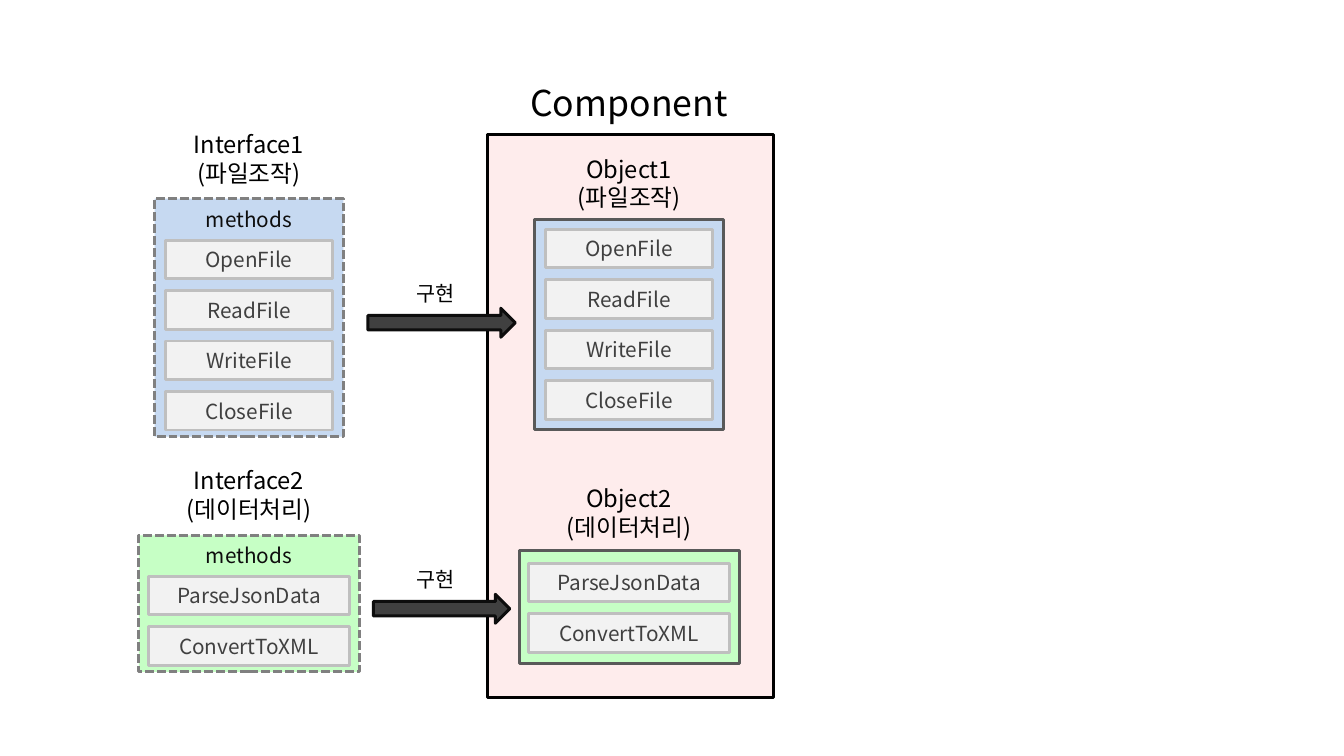
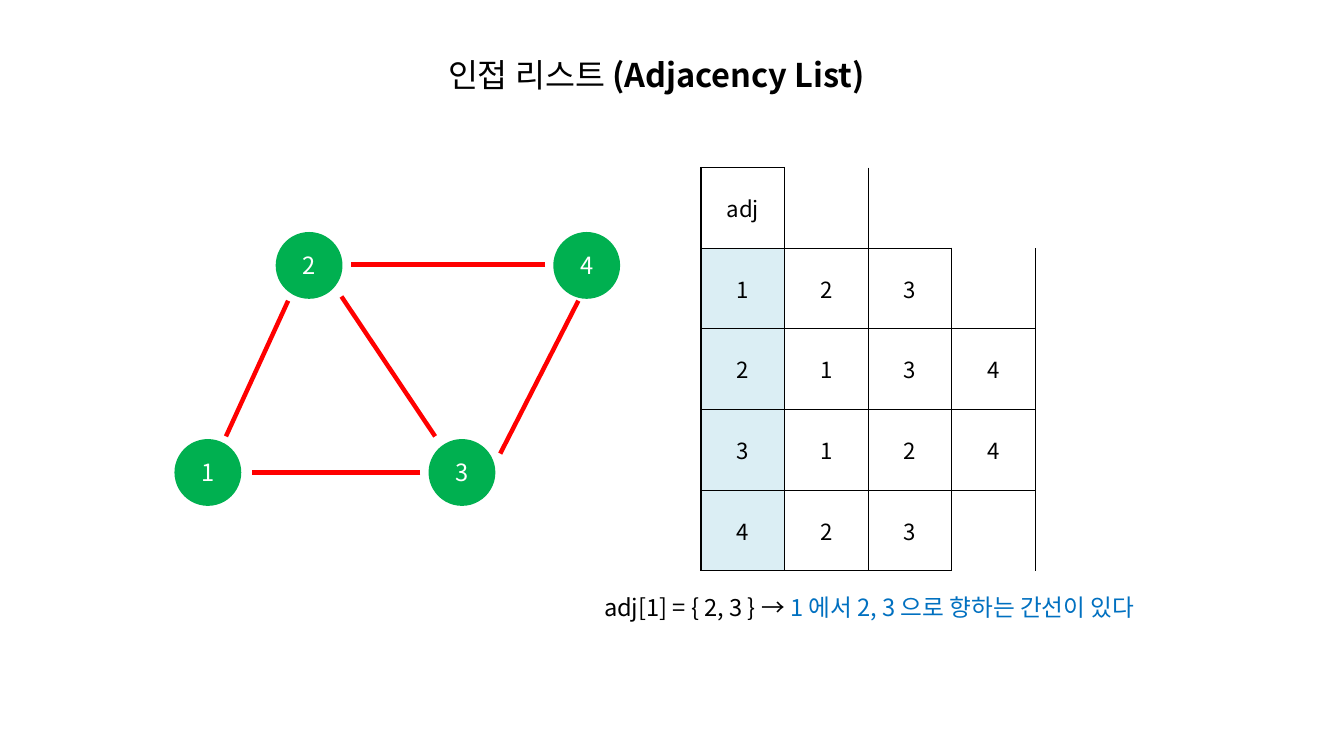
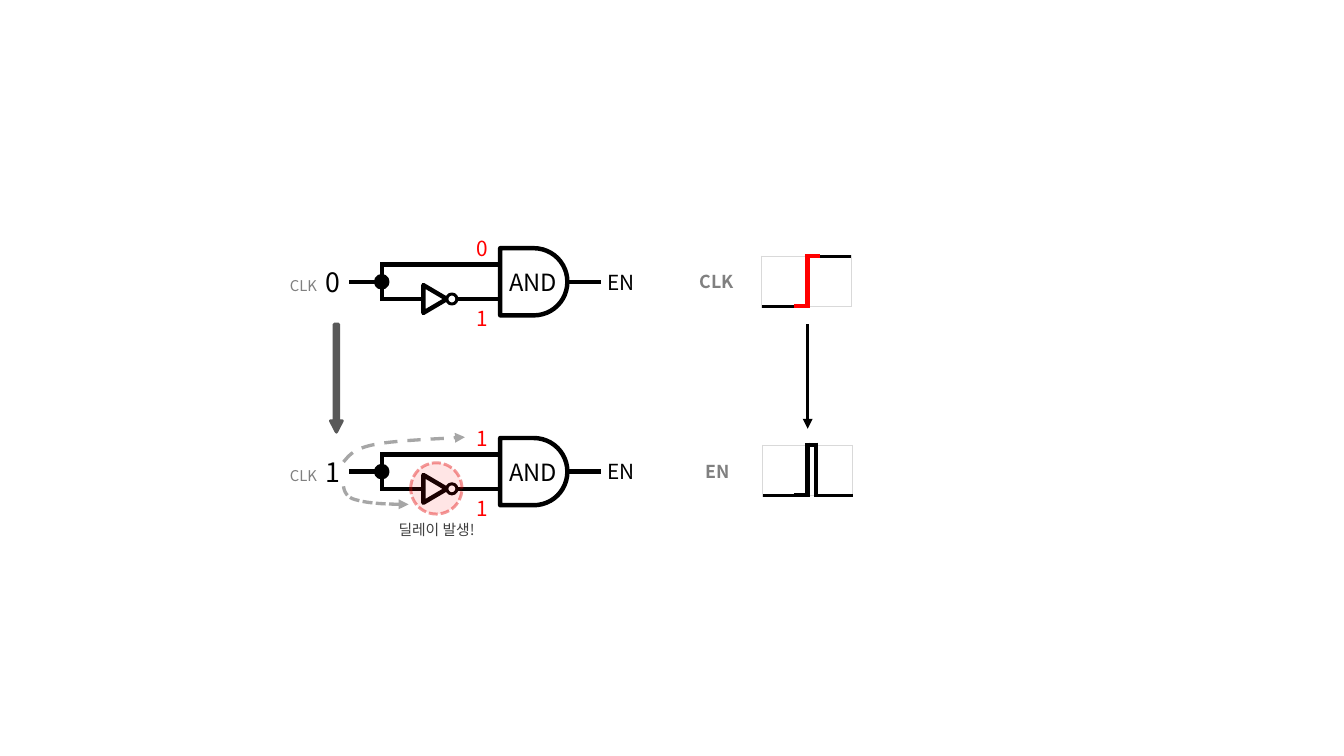
from dataclasses import dataclass
from typing import Any, NamedTuple

from lxml.etree import SubElement
from pptx import Presentation
from pptx.dml.color import RGBColor
from pptx.enum.dml import MSO_LINE
from pptx.enum.shapes import MSO_CONNECTOR, MSO_SHAPE as Preset
from pptx.enum.text import MSO_ANCHOR as Anchor, MSO_AUTO_SIZE, PP_ALIGN
from pptx.oxml.ns import qn
from pptx.util import Cm, Pt

FONT = "Noto Sans CJK KR"
BLACK = RGBColor(0x00, 0x00, 0x00)
INK = RGBColor(0x0D, 0x0D, 0x0D)
CHARCOAL = RGBColor(0x40, 0x40, 0x40)
SLATE = RGBColor(0x59, 0x59, 0x59)
GRAY = RGBColor(0x80, 0x80, 0x80)
ASH = RGBColor(0xA6, 0xA6, 0xA6)
SILVER = RGBColor(0xBF, 0xBF, 0xBF)
MIST = RGBColor(0xD9, 0xD9, 0xD9)
PAPER = RGBColor(0xF2, 0xF2, 0xF2)
WHITE = RGBColor(0xFF, 0xFF, 0xFF)
PINK = RGBColor(0xFE, 0xEC, 0xEC)
MINT = RGBColor(0xC6, 0xFF, 0xC5)
SKY = RGBColor(0xC6, 0xD9, 0xF1)
ICE = RGBColor(0xDB, 0xEE, 0xF4)
GREEN = RGBColor(0x00, 0xB0, 0x50)
BLUE = RGBColor(0x00, 0x70, 0xC0)
RED = RGBColor(0xFF, 0x00, 0x00)
CRIMSON = RGBColor(0xE2, 0x00, 0x00)

FRAME = {"margin_left": 0, "margin_right": 0, "word_wrap": True}
CELL = {"margin_left": Cm(0.2), "margin_right": Cm(0.2), "margin_top": Cm(0.1),
        "margin_bottom": Cm(0.1), "vertical_anchor": Anchor.MIDDLE}
NO_GRID = "{2D5ABB26-0587-4C30-8999-92F81FD0307C}"


class Box(NamedTuple):
    x: float
    y: float
    w: float
    h: float


class Run(NamedTuple):
    text: str
    color: RGBColor = BLACK
    bold: bool = False


class Edge(NamedTuple):
    color: RGBColor
    width: float


class Wire(NamedTuple):
    x1: float
    y1: float
    x2: float
    y2: float


@dataclass
class Panel:
    cx: float
    title: str
    title_y: float
    box: Box
    fill: RGBColor
    method_y: float
    method_w: float
    methods: tuple[str, ...]
    abstract: bool


def apply(obj: Any, values: dict[str, Any]) -> None:
    for name, value in values.items():
        setattr(obj, name, value)


def centered(cx: float, y: float, w: float, h: float) -> Box:
    return Box(cx - w / 2, y, w, h)


def write(tf: Any, size: float, *lines: list[Run]) -> None:
    for i, line in enumerate(lines):
        p = tf.add_paragraph() if i else tf.paragraphs[0]
        p.alignment = PP_ALIGN.CENTER
        for item in line:
            r = p.add_run()
            r.text = item.text
            r.font.color.rgb = item.color
            apply(r.font, {"name": FONT, "size": Pt(size), "bold": item.bold})
            SubElement(r.font._element, qn("a:ea"), typeface=FONT)


def text(s: Any, box: Box, size: float, *lines: list[Run], anchor: Any = Anchor.TOP) -> None:
    tf = s.shapes.add_textbox(*map(Cm, box)).text_frame
    apply(tf, {**FRAME, "vertical_anchor": anchor, "auto_size": MSO_AUTO_SIZE.SHAPE_TO_FIT_TEXT})
    write(tf, size, *lines)


def style(sp: Any, fill: RGBColor | None, line: RGBColor, width: float, dash: Any = None) -> None:
    sp.shadow.inherit = False
    if fill is None:
        sp.fill.background()
    else:
        sp.fill.solid()
        sp.fill.fore_color.rgb = fill
    sp.line.color.rgb = line
    apply(sp.line, {"width": Pt(width), "dash_style": dash})


def shape(s: Any, preset: Any, box: Box, fill: RGBColor | None, line: RGBColor,
          width: float = 2, dash: Any = None) -> Any:
    sp = s.shapes.add_shape(preset, *map(Cm, box))
    style(sp, fill, line, width, dash)
    return sp


def label(sp: Any, size: float, run: Run) -> None:
    apply(sp.text_frame, {**FRAME, "vertical_anchor": Anchor.MIDDLE})
    write(sp.text_frame, size, [run])


def add_arrowhead(sp: Any) -> None:
    SubElement(sp.line._get_or_add_ln(), qn("a:tailEnd"), type="triangle")


def connect(s: Any, wire: Wire, color: RGBColor = BLACK, width: float = 3) -> Any:
    sp = s.shapes.add_connector(MSO_CONNECTOR.STRAIGHT, *map(Cm, wire))
    sp.line.color.rgb = color
    sp.line.width = Pt(width)
    SubElement(sp._element.spPr, qn("a:effectLst"))
    return sp


def add_grid(s: Any, x: float, y: float, widths: list[float], heights: list[float]) -> Any:
    frame = s.shapes.add_table(len(heights), len(widths), Cm(x), Cm(y),
                               Cm(sum(widths)), Cm(sum(heights)))
    table = frame.table
    apply(table, {"first_row": False, "horz_banding": False})
    next(frame._element.iter(qn("a:tableStyleId"))).text = NO_GRID
    for column, w in zip(table.columns, widths):
        column.width = Cm(w)
    for row, h in zip(table.rows, heights):
        row.height = Cm(h)
    return table


def set_cell(cell: Any, edges: dict[str, Edge], fill: RGBColor | None = None) -> None:
    apply(cell, CELL)
    tc_pr = cell._tc.get_or_add_tcPr()
    for side in "LRTB":
        if side in edges:
            edge = edges[side]
            ln = SubElement(tc_pr, qn(f"a:ln{side}"), w=str(Pt(edge.width)))
            SubElement(SubElement(ln, qn("a:solidFill")), qn("a:srgbClr"), val=str(edge.color))
    if fill is None:
        cell.fill.background()
    else:
        cell.fill.solid()
        cell.fill.fore_color.rgb = fill


def draw_panel(s: Any, panel: Panel) -> None:
    box = panel.box
    line, dash = (GRAY, MSO_LINE.SQUARE_DOT) if panel.abstract else (SLATE, None)
    shape(s, Preset.RECTANGLE, box, panel.fill, line, dash=dash)
    text(s, centered(panel.cx, panel.title_y, 4.55, 1.63), 16,
         *([Run(part)] for part in panel.title.split("\n")))
    if panel.abstract:
        text(s, centered(panel.cx, box.y + 0.06, 3.12, 0.86), 14, [Run("methods", INK)])
    for i, method in enumerate(panel.methods):
        sp = shape(s, Preset.RECTANGLE,
                   centered(panel.cx, panel.method_y + 1.2 * i, panel.method_w, 0.92),
                   PAPER, SILVER)
        label(sp, 14, Run(method, CHARCOAL))


def component_slide(s: Any) -> None:
    file_methods = ("OpenFile", "ReadFile", "WriteFile", "CloseFile")
    data_methods = ("ParseJsonData", "ConvertToXML")
    left, right = 5.93, 14.98
    shape(s, Preset.RECTANGLE, Box(11.61, 3.2, 6.8, 13.42), PINK, BLACK)
    text(s, Box(11.94, 1.8, 6.07, 1.27), 24, [Run("Component")])
    for panel in (
        Panel(left, "Interface1\n(파일조작)", 2.97, centered(left, 4.73, 4.49, 5.67),
              SKY, 5.72, 3.96, file_methods, True),
        Panel(left, "Interface2\n(데이터처리)", 10.97, centered(left, 12.75, 5.24, 3.25),
              MINT, 13.72, 4.8, data_methods, True),
        Panel(right, "Object1\n(파일조작)", 3.56, centered(right, 5.23, 4.49, 5),
              SKY, 5.46, 3.96, file_methods, False),
        Panel(right, "Object2\n(데이터처리)", 11.4, centered(right, 13.11, 5.24, 2.69),
              MINT, 13.41, 4.8, data_methods, False),
    ):
        draw_panel(s, panel)
    for arrow in (Box(8.76, 7.34, 3.51, 0.69), Box(8.89, 14.15, 3.25, 0.69)):
        shape(s, Preset.RIGHT_ARROW, arrow, CHARCOAL, INK)
        text(s, centered(10.37, arrow.y - 0.79, 1.45, 0.86), 14, [Run("구현")])


def adjacency_slide(s: Any) -> None:
    text(s, Box(9.32, 1.19, 12.62, 1.19), 22,
         [Run("인접 리스트 "), Run("(Adjacency List)", bold=True)])
    nodes = {"2": (6.6, 5.56), "1": (4.19, 10.49), "3": (10.24, 10.49), "4": (13.21, 5.56)}
    for name, (x, y) in nodes.items():
        sp = shape(s, Preset.OVAL, Box(x, y, 1.52, 1.52), GREEN, GREEN)
        label(sp, 16, Run(name, WHITE))
    for wire in (Wire(6.86, 7.16, 5.38, 10.39), Wire(12.98, 6.3, 8.36, 6.3),
                 Wire(10.01, 11.25, 5.99, 11.25), Wire(13.77, 7.16, 11.91, 10.8),
                 Wire(8.13, 7.06, 10.36, 10.39)):
        connect(s, wire, RED)

    rows = [["adj"], ["1", "2", "3"], ["2", "1", "3", "4"], ["3", "1", "2", "4"],
            ["4", "2", "3"]]
    steps = {"L": (0, -1), "R": (0, 1), "T": (-1, 0), "B": (1, 0)}
    used = {(i, j) for i, row in enumerate(rows) for j in range(len(row))}
    table = add_grid(s, 16.69, 3.99, [1.99] * 5, [1.92] * 5)
    for i, row in enumerate(rows):
        for j in range(5):
            edges = {side: Edge(BLACK, 1) for side, (di, dj) in steps.items()
                     if used & {(i, j), (i + di, j + dj)}}
            set_cell(table.cell(i, j), edges, ICE if i and not j else None)
            if j < len(row):
                write(table.cell(i, j).text_frame, 15, [Run(row[j])])
    text(s, Box(13.06, 14, 15.27, 0.94), 16,
         [Run("adj[1] = { 2, 3 } → "), Run("1 에서 2, 3 으로 향하는 간선이 있다", BLUE)])


def draw_circuit(s: Any, y: float, clock: str, upper: str, lower: str) -> None:
    shape(s, Preset.FLOWCHART_DELAY, Box(11.91, y - 0.8, 1.6, 1.6), None, BLACK, 3)
    sp = shape(s, Preset.FLOWCHART_EXTRACT, Box(10.03, y + 0.13, 0.66, 0.56), WHITE, BLACK, 3)
    sp.rotation = 90
    shape(s, Preset.OVAL, Box(10.64, y + 0.29, 0.24, 0.24), WHITE, BLACK)
    for x1, dy1, x2, dy2 in ((13.51, 0, 14.3, 0), (9.09, -0.41, 11.91, -0.41),
                             (10.9, 0.41, 11.91, 0.41), (9.09, 0.41, 10.08, 0.41),
                             (9.09, 0.46, 9.09, -0.46), (8.31, 0, 9.09, 0)):
        connect(s, Wire(x1, y + dy1, x2, y + dy2))
    shape(s, Preset.OVAL, Box(8.94, y - 0.15, 0.3, 0.3), BLACK, BLACK)
    text(s, Box(11.61, y - 0.46, 2.16, 0.94), 16, [Run("AND")])
    for box, size, run in (
        (Box(11.05, y - 1.22, 0.89, 0.86), 14, Run(upper, RED)),
        (Box(11.05, y + 0.44, 0.89, 0.86), 14, Run(lower, RED)),
        (Box(7.49, y - 0.51, 0.89, 1.02), 18, Run(clock)),
        (Box(6.63, y - 0.26, 1.19, 0.69), 10, Run("CLK", GRAY)),
        (Box(14.2, y - 0.43, 1.19, 0.86), 14, Run("EN")),
    ):
        text(s, box, size, [run], anchor=Anchor.MIDDLE)


def draw_curve(s: Any, points: list[tuple[float, float]], dash: Any) -> None:
    steps = 12
    track = []
    for k in range(0, len(points) - 1, 3):
        a, b, c, d = points[k:k + 4]
        for n in range(1, steps + 1):
            t = n / steps
            u = 1 - t
            track.append(tuple(
                Cm(u**3 * a[i] + 3 * u * u * t * b[i] + 3 * u * t * t * c[i] + t**3 * d[i])
                for i in range(2)))
    builder = s.shapes.build_freeform(*map(Cm, points[0]))
    builder.add_line_segments(track, close=False)
    sp = builder.convert_to_shape()
    style(sp, None, ASH, 2.25, dash)
    add_arrowhead(sp)


def draw_signal(s: Any, x: float, y: float, name: str, high: bool) -> None:
    thin, thick = Edge(MIST, 1), Edge(BLACK, 2.25)
    table = add_grid(s, x, y, [2.13, 1.07, 1.07], [1.19])
    edges = ({"R": thin},
             {"L": thin, "T": thin, "R": thick, "B": thick},
             {"L": thick, "T": thick if high else thin, "R": thin, "B": thin})
    for j, sides in enumerate(edges):
        set_cell(table.cell(0, j), sides)
    write(table.cell(0, 0).text_frame, 12, [Run(name, GRAY, True)])


def pulse_slide(s: Any) -> None:
    draw_circuit(s, 6.71, "0", "0", "1")
    draw_circuit(s, 11.23, "1", "1", "1")
    sp = shape(s, Preset.OVAL, Box(9.78, 11.02, 1.22, 1.22), RED, CRIMSON,
               dash=MSO_LINE.SQUARE_DOT)
    for color, alpha in zip(list(sp._element.spPr.iter(qn("a:srgbClr"))), (10, 40)):
        SubElement(color, qn("a:alpha"), val=str(alpha * 1000))
    text(s, Box(9.19, 12.27, 2.41, 0.69), 10, [Run("딜레이 발생!", CHARCOAL)])
    draw_curve(s, [(8.18, 11), (8.31, 10.85), (8.41, 10.69), (8.89, 10.59),
                   (9.37, 10.49), (10.24, 10.46), (11.07, 10.41)], MSO_LINE.DASH)
    draw_curve(s, [(8.18, 11.58), (8.2, 11.71), (8.26, 11.86), (8.51, 11.91),
                   (8.79, 11.99), (9.25, 12.01), (9.73, 12.01)], MSO_LINE.SQUARE_DOT)
    sp = shape(s, Preset.DOWN_ARROW, Box(7.87, 7.72, 0.28, 2.57), SLATE, SLATE)
    sp.adjustments[0], sp.adjustments[1] = 0.365, 0.962

    draw_signal(s, 16.03, 10.61, "EN", False)
    for wire in (Wire(18.9, 11.79, 19.2, 11.79), Wire(19.2, 10.59, 19.46, 10.59),
                 Wire(19.23, 10.54, 19.23, 11.84), Wire(19.43, 10.54, 19.43, 11.84)):
        connect(s, wire)
    connect(s, Wire(19.48, 11.79, 20.32, 11.79), width=2.25)
    draw_signal(s, 16, 6.1, "CLK", True)
    for wire in (Wire(18.9, 7.29, 19.2, 7.29), Wire(19.25, 6.1, 19.53, 6.1),
                 Wire(19.23, 6.05, 19.23, 7.34)):
        connect(s, wire, RED)
    add_arrowhead(connect(s, Wire(19.23, 7.72, 19.23, 10.21), width=2.25))


def main() -> None:
    prs = Presentation()
    apply(prs, {"slide_width": Cm(32), "slide_height": Cm(18)})
    for draw in (component_slide, adjacency_slide, pulse_slide):
        draw(prs.slides.add_slide(prs.slide_layouts[6]))
    prs.save("out.pptx")


if __name__ == "__main__":
    main()
